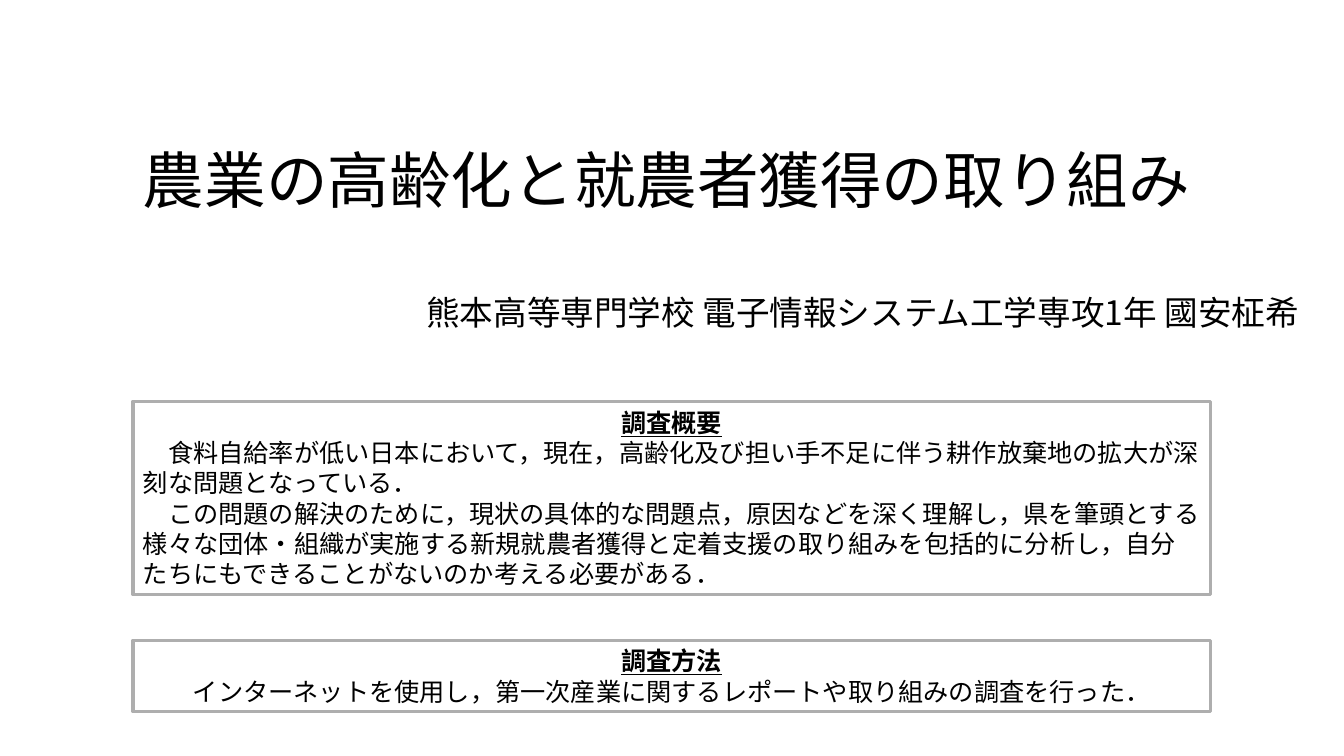
from pptx import Presentation
from pptx.dml.color import RGBColor as Rgb
from pptx.enum.shapes import MSO_SHAPE as Kind
from pptx.enum.text import MSO_ANCHOR as Anchor, PP_ALIGN as Align
from pptx.oxml.ns import qn
from pptx.util import Pt
from lxml.etree import SubElement as Sub

COLORS = {"ink": "000000", "edge": "AEAEAE"}
FACE = "Noto Sans CJK JP"
LEFT, WIDE = 95, 769.7
HEAD = {"size": Pt(18), "bold": True, "underline": True}
BODY = {"size": Pt(18), "bold": False}


def add_run(para, text, form):
    run = para.add_run()
    run.text = text
    font = run.font
    for key, value in {"name": FACE, **form}.items():
        setattr(font, key, value)
    font.color.rgb = Rgb.from_string(COLORS["ink"])
    # East Asian text takes its own typeface entry
    Sub(run._r.get_or_add_rPr(), qn("a:ea"), typeface=FACE)


def add_label(slide, text, size, box, wrap):
    frame = slide.shapes.add_textbox(*map(Pt, box)).text_frame
    frame.word_wrap = wrap
    add_run(frame.paragraphs[0], text, {"size": Pt(size)})


def add_panel(slide, top, high, head, lines, align):
    shape = slide.shapes.add_shape(
        Kind.RECTANGLE, Pt(LEFT), Pt(top), Pt(WIDE), Pt(high))
    shape.shadow.inherit = False
    shape.fill.background()
    shape.line.color.rgb = Rgb.from_string(COLORS["edge"])
    shape.line.width = Pt(2.25)
    frame = shape.text_frame
    frame.word_wrap = True
    frame.vertical_anchor = Anchor.MIDDLE

    # Underlined heading, then the body paragraphs
    title = frame.paragraphs[0]
    title.alignment = Align.CENTER
    add_run(title, head, HEAD)
    for line in lines:
        para = frame.add_paragraph()
        para.alignment = align
        add_run(para, line, BODY)


def main():
    deck = Presentation()
    deck.slide_width, deck.slide_height = Pt(960), Pt(540)
    slide = deck.slides.add_slide(deck.slide_layouts[6])

    # Title and author
    add_label(slide, "農業の高齢化と就農者獲得の取り組み", 44,
              (LEFT, 98, WIDE, 60.5), False)
    add_label(slide, "熊本高等専門学校 電子情報システム工学専攻1年 國安柾希", 24,
              (297.4, 205.2, 648, 36), True)

    # Survey outline
    add_panel(slide, 286.6, 138.2, "調査概要", [
        "　食料自給率が低い日本において，現在，高齢化及び担い手不足に伴う"
        "耕作放棄地の拡大が深刻な問題となっている．",
        "　この問題の解決のために，現状の具体的な問題点，原因などを深く理解し，"
        "県を筆頭とする様々な団体・組織が実施する新規就農者獲得と定着支援の"
        "取り組みを包括的に分析し，自分たちにもできることがないのか"
        "考える必要がある．",
    ], Align.LEFT)

    # Survey method
    add_panel(slide, 457.2, 51.1, "調査方法", [
        "インターネットを使用し，第一次産業に関するレポートや"
        "取り組みの調査を行った．",
    ], Align.CENTER)

    deck.save("out.pptx")


if __name__ == "__main__":
    main()
